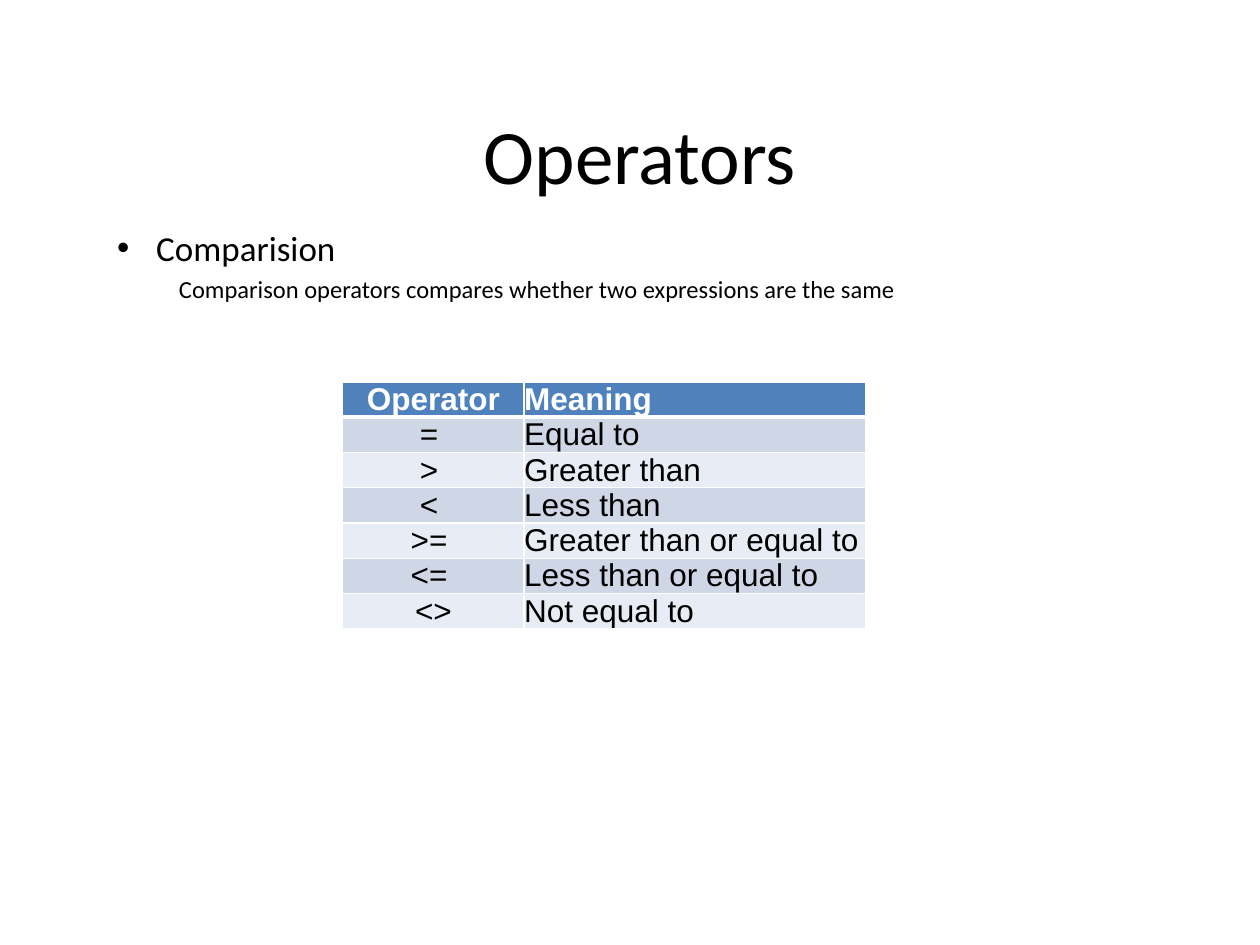
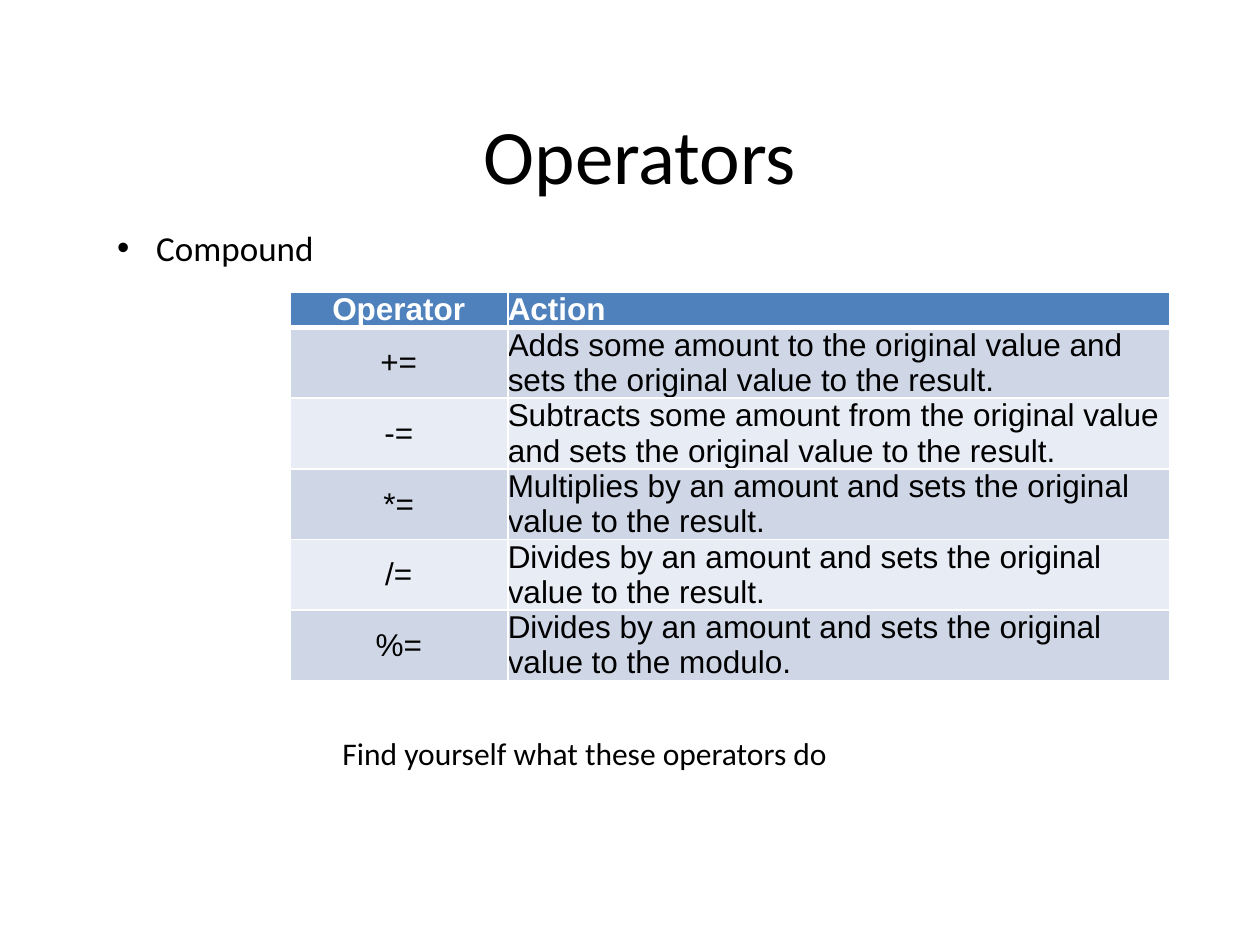
from dataclasses import dataclass
from pptx import Presentation
from pptx.dml.color import RGBColor
from pptx.enum.text import MSO_ANCHOR, MSO_AUTO_SIZE, PP_ALIGN
from pptx.oxml.ns import qn
from pptx.util import Inches, Pt
from lxml import etree

MIDDLE = MSO_ANCHOR.MIDDLE
TOP = MSO_ANCHOR.TOP
FIXED = MSO_AUTO_SIZE.NONE
GROW = MSO_AUTO_SIZE.SHAPE_TO_FIT_TEXT
LEFT = PP_ALIGN.LEFT
CENTER = PP_ALIGN.CENTER

SLIDE_WIDTH, SLIDE_HEIGHT = Inches(10), Inches(7.5)
COLUMN, ROW = SLIDE_WIDTH // 100, SLIDE_HEIGHT // 75


@dataclass(frozen=True)
class Theme:
    """Colours, fonts and type sizes shared by the slides."""
    ink: str = "000000"
    paper: str = "FFFFFF"
    header: str = "4F81BD"
    bands: tuple = ("CFD7E7", "E8ECF4")
    text_font: str = "Calibri"
    table_font: str = "Arial"
    title_size: int = 44
    topic_size: int = 20
    detail_size: int = 14
    table_size: int = 18
    thin: int = 1
    thick: int = 3


THEME = Theme()
TITLE_BOX = (8.3, 5, 85, 14.4)
BODY_BOX = (8.3, 17.5, 85.8, 52.5)
BULLET_INDENT = 3.1
DETAIL_INDENT = 4.9
LINE_ROWS = 2.8

COMPARISON_ROWS = [
    ("Operator", "Meaning"),
    ("=", "Equal to"),
    (">", "Greater than"),
    ("<", "Less than"),
    (">=", "Greater than or equal to"),
    ("<=", "Less than or equal to"),
    ("<>", "Not equal to"),
]
COMPOUND_ROWS = [
    ("Operator", "Action"),
    ("+=", "Adds some amount to the original value and sets the original value to the result."),
    ("-=", "Subtracts some amount from the original value and sets the original value to the result."),
    ("*=", "Multiplies by an amount and sets the original value to the result."),
    ("/=", "Divides by an amount and sets the original value to the result."),
    ("%=", "Divides by an amount and sets the original value to the modulo."),
]


def grid(box):
    """Convert a box in grid columns and rows to slide lengths."""
    left, top, width, height = box
    return int(left * COLUMN), int(top * ROW), int(width * COLUMN), int(height * ROW)


def place(shape, box):
    """Move a shape to a grid box."""
    shape.left, shape.top, shape.width, shape.height = grid(box)


def write_text(frame, text, size, font=THEME.text_font, color=THEME.ink, bold=False,
               align=LEFT, before=0, indent=0, bullet=None):
    """Write one formatted paragraph at the end of a text frame."""
    paragraph = frame.add_paragraph() if frame.text else frame.paragraphs[0]
    properties = paragraph._p.get_or_add_pPr()
    properties.set("marL", str(int(indent * COLUMN)))
    properties.set("indent", str(-int(indent * COLUMN) if bullet else 0))
    if bullet:
        etree.SubElement(properties, qn("a:buChar"), char=bullet)
    else:
        etree.SubElement(properties, qn("a:buNone"))
    paragraph.alignment = align
    paragraph.space_before = Pt(before)
    run = paragraph.add_run()
    run.text = text
    run.font.size = Pt(size)
    run.font.name = font
    run.font.bold = bold
    run.font.color.rgb = RGBColor.from_string(color)


def add_border(cell, side, weight):
    """Draw one solid border of a table cell."""
    line = etree.SubElement(cell._tc.get_or_add_tcPr(), qn(f"a:ln{side}"), w=str(Pt(weight)))
    fill = etree.SubElement(line, qn("a:solidFill"))
    etree.SubElement(fill, qn("a:srgbClr"), val=THEME.paper)


def fill_cell(cell, text, row, align, right_margin):
    """Format and write one table cell according to its row."""
    is_header = row == 0
    weights = {"L": THEME.thin, "R": THEME.thin,
               "T": THEME.thick if row == 1 else THEME.thin,
               "B": THEME.thick if is_header else THEME.thin}
    for side, weight in weights.items():
        add_border(cell, side, weight)
    cell.fill.solid()
    color = THEME.header if is_header else THEME.bands[(row - 1) % 2]
    cell.fill.fore_color.rgb = RGBColor.from_string(color)
    cell.margin_left = cell.margin_top = cell.margin_bottom = 0
    cell.margin_right = int(right_margin * COLUMN)
    cell.vertical_anchor = MIDDLE
    write_text(cell.text_frame, text, THEME.table_size, font=THEME.table_font, align=align,
               bold=is_header, color=THEME.paper if is_header else THEME.ink)


def add_operator_table(slide, origin, widths, rows, lines=1, shifted=()):
    """Add a banded table whose body rows each hold a number of text lines."""
    heights = [LINE_ROWS] + [LINE_ROWS * lines] * (len(rows) - 1)
    box = grid((*origin, sum(widths), sum(heights)))
    table = slide.shapes.add_table(len(rows), len(widths), *box).table
    for column, width in zip(table.columns, widths):
        column.width = int(width * COLUMN)
    for index, (operator, meaning) in enumerate(rows):
        table.rows[index].height = int(heights[index] * ROW)
        shift = 0.7 if operator in shifted else 0
        fill_cell(table.cell(index, 0), operator, index, CENTER, shift)
        fill_cell(table.cell(index, 1), meaning, index, LEFT, 0)


def add_operator_slide(presentation, topic, detail=None):
    """Add a slide with the shared title, a topic bullet and an optional detail line."""
    slide = presentation.slides.add_slide(presentation.slide_layouts[1])
    title, body = slide.shapes.title, slide.placeholders[1]
    for shape, box, anchor in ((title, TITLE_BOX, MIDDLE), (body, BODY_BOX, TOP)):
        place(shape, box)
        shape.text_frame.auto_size = FIXED
        shape.text_frame.vertical_anchor = anchor
    write_text(title.text_frame, "Operators", THEME.title_size, align=CENTER)
    write_text(body.text_frame, topic, THEME.topic_size, indent=BULLET_INDENT, bullet="•")
    if detail:
        write_text(body.text_frame, detail, THEME.detail_size, before=2.8, indent=DETAIL_INDENT)
    return slide


def add_note(slide, box, text):
    """Add a free line of text in a grid box."""
    frame = slide.shapes.add_textbox(*grid(box)).text_frame
    frame.word_wrap = True
    frame.auto_size = GROW
    write_text(frame, text, THEME.table_size)


def main():
    """Build and save the presentation."""
    presentation = Presentation()
    presentation.slide_width, presentation.slide_height = SLIDE_WIDTH, SLIDE_HEIGHT
    comparison = add_operator_slide(
        presentation, "Comparision",
        "Comparison operators compares whether two expressions are the same")
    add_operator_table(comparison, (27.2, 30.3), (14.4, 27.1), COMPARISON_ROWS,
                       shifted=("=", ">", "<", ">=", "<="))
    compound = add_operator_slide(presentation, "Compound")
    add_operator_table(compound, (23, 23.2), (17.3, 52.5), COMPOUND_ROWS, lines=2)
    add_note(compound, (26.2, 57.8, 61.4, 4), "Find yourself what these operators do")
    presentation.save("out.pptx")


if __name__ == "__main__":
    main()
